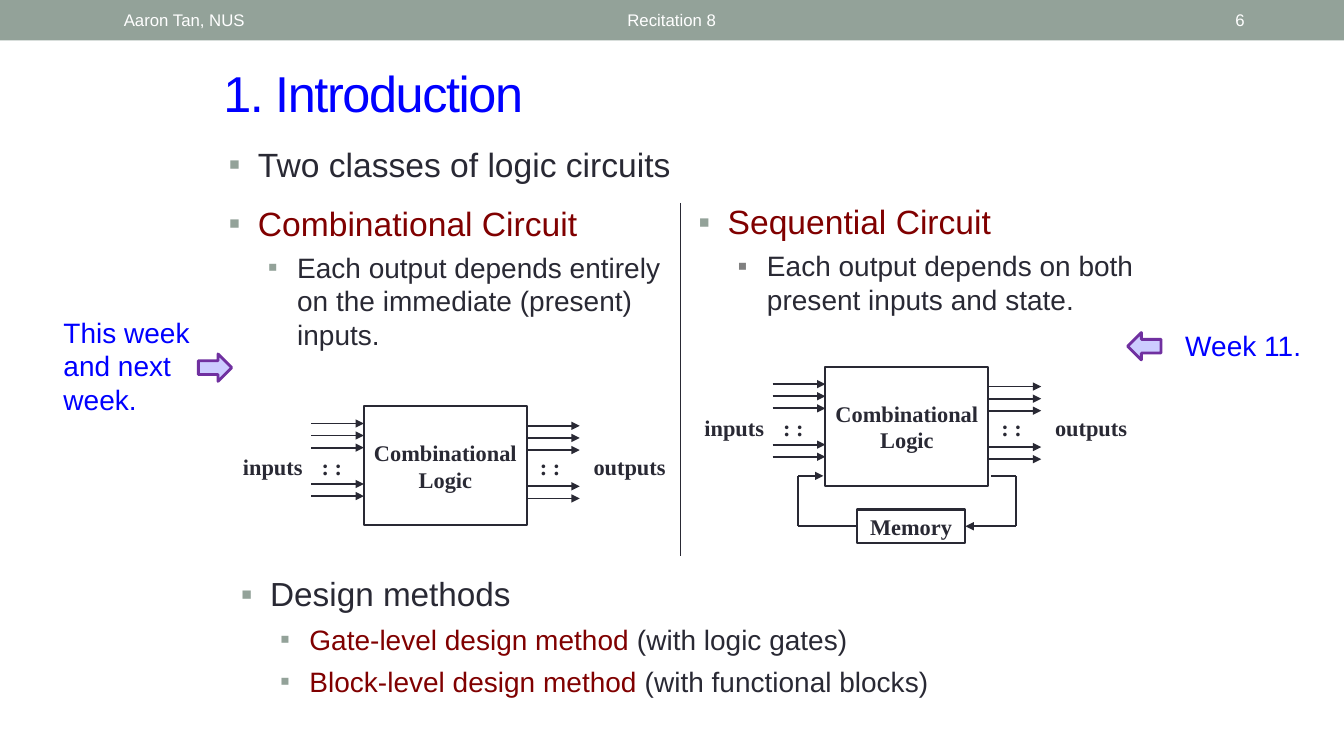
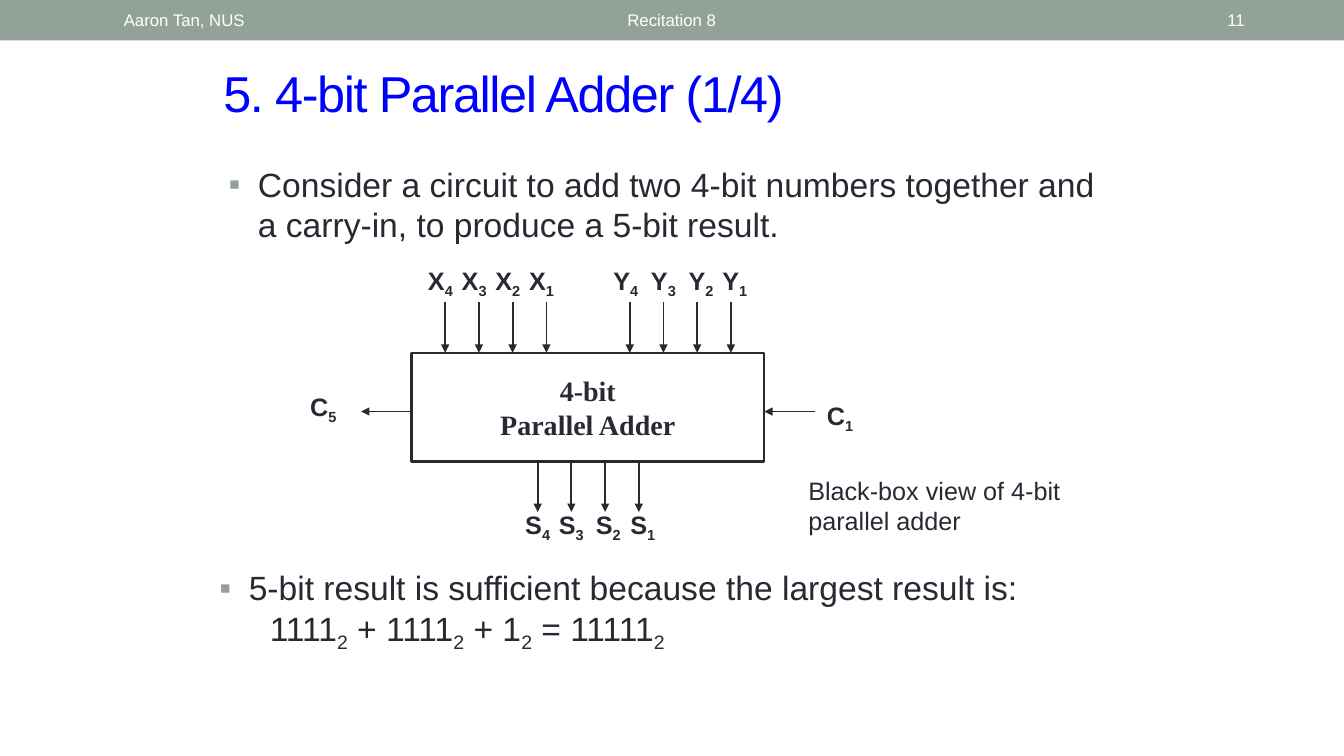
from lxml import etree
from pptx import Presentation
from pptx.dml.color import RGBColor
from pptx.enum import shapes, text
from pptx.oxml import ns
from pptx.util import Cm, Pt

SAGE = RGBColor(0x93, 0xA2, 0x99)
GREY = RGBColor(0x80, 0x80, 0x80)
INK = RGBColor(0x29, 0x29, 0x34)
BLUE = RGBColor(0x00, 0x00, 0xFF)
MAROON = RGBColor(0x80, 0x00, 0x00)
WHITE = RGBColor(0xFF, 0xFF, 0xFF)
LILAC = RGBColor(0xCC, 0xCC, 0xFF)
PURPLE = RGBColor(0x70, 0x30, 0xA0)

SANS, SERIF = "Arial", "Times New Roman"
LEFT, CENTER, RIGHT = text.PP_ALIGN.LEFT, text.PP_ALIGN.CENTER, text.PP_ALIGN.RIGHT
TOP, MIDDLE = text.MSO_ANCHOR.TOP, text.MSO_ANCHOR.MIDDLE
WIDTH, HEIGHT, BAND = 33.87, 19.05, 1.02
INDENTS = (0.74, 1.73)      # text indent of each bullet level
HANG = 0.74
SUB = "subscript"           # span style, besides colours


# ---- Text ----
def fill_para(para, spans, size, color=INK, font=SANS, bold=False, align=LEFT):
    """Spans are strings or (string, colour or SUB) pairs; a newline breaks the line."""
    para.alignment = align
    para.font.name, para.font.size, para.font.bold = font, Pt(size), bold
    para.font.color.rgb = color
    for item in [spans] if isinstance(spans, str) else spans:
        words, style = (item, None) if isinstance(item, str) else item
        for number, line in enumerate(words.split("\n")):
            if number:
                para.add_line_break()
            span = para.add_run()
            span.text = line
            if style == SUB:
                span.font._element.set("baseline", "-25000")
            elif style is not None:
                span.font.color.rgb = style


def add_text(page, left, top, width, height, lines, size, anchor=TOP, inset=0.25, **look):
    box = page.shapes.add_textbox(Cm(left), Cm(top), Cm(width), Cm(height))
    frame = box.text_frame
    frame.word_wrap = True
    frame.vertical_anchor = anchor
    frame.margin_left = frame.margin_right = Cm(inset)
    for number, spans in enumerate(lines):
        para = frame.add_paragraph() if number else frame.paragraphs[0]
        fill_para(para, spans, size, **look)
    return box


def add_bullets(page, left, top, width, height, items):
    """Items are (level, spans, size, colour, before, after, bullet colour)."""
    frame = add_text(page, left, top, width, height, [], 24).text_frame
    for number, (level, spans, size, color, before, after, dot) in enumerate(items):
        para = frame.add_paragraph() if number else frame.paragraphs[0]
        para.level = level
        para.space_before, para.space_after = Pt(before), Pt(after)
        props = para._p.get_or_add_pPr()
        props.set("marL", str(Cm(INDENTS[level])))
        props.set("indent", str(-Cm(HANG)))
        tint = etree.SubElement(props, ns.qn("a:buClr"))
        etree.SubElement(tint, ns.qn("a:srgbClr"), val=str(dot))
        etree.SubElement(props, ns.qn("a:buFont"), typeface=SANS)
        etree.SubElement(props, ns.qn("a:buChar"), char="▪")
        fill_para(para, spans, size, color)


# ---- Shapes and lines ----
def add_block(page, kind, left, top, width, height, fill=None, line=None, weight=1.5):
    block = page.shapes.add_shape(kind, Cm(left), Cm(top), Cm(width), Cm(height))
    block.shadow.inherit = False
    if fill is None:
        block.fill.background()
    else:
        block.fill.solid()
        block.fill.fore_color.rgb = fill
    if line is None:
        block.line.fill.background()
    else:
        block.line.color.rgb = line
        block.line.width = Pt(weight)
    return block


def add_labelled_box(page, left, top, width, height, lines, size):
    block = add_block(page, shapes.MSO_SHAPE.RECTANGLE, left, top, width, height, line=INK)
    frame = block.text_frame
    frame.vertical_anchor = MIDDLE
    frame.margin_left = frame.margin_right = frame.margin_top = frame.margin_bottom = 0
    for number, line in enumerate(lines):
        para = frame.add_paragraph() if number else frame.paragraphs[0]
        fill_para(para, line, size, font=SERIF, bold=True, align=CENTER)
    return block


def add_line(page, start, end, weight=1.25, arrow=True):
    line = page.shapes.add_connector(shapes.MSO_CONNECTOR.STRAIGHT,
                                     *(Cm(value) for value in (*start, *end)))
    line.line.color.rgb = INK
    line.line.width = Pt(weight)
    if arrow:
        etree.SubElement(line.line._get_or_add_ln(), ns.qn("a:tailEnd"), type="triangle")
    etree.SubElement(line._element.spPr, ns.qn("a:effectLst"))
    return line


def add_route(page, points):
    """Join the points with straight lines, the last one ending in an arrowhead."""
    last = len(points) - 2
    return [add_line(page, points[i], points[i + 1], 1.5, i == last)
            for i in range(last + 1)]


# ---- Frame shared by the slides ----
def new_page(deck, title, number):
    page = deck.slides.add_slide(deck.slide_layouts[6])
    add_block(page, shapes.MSO_SHAPE.RECTANGLE, 0, 0, WIDTH, BAND, fill=SAGE)
    for left, width, words, align in ((2.87, 8.05, "Aaron Tan, NUS", LEFT),
                                      (7.67, 18.52, "Recitation 8", CENTER),
                                      (29.21, 2.41, number, RIGHT)):
        add_text(page, left, 0.05, width, 0.91, [words], 12, MIDDLE, color=WHITE, align=align)
    heading = add_text(page, 5.38, 1.45, 23.2, 1.78, [title], 36, MIDDLE, color=BLUE)
    heading.text_frame.paragraphs[0].runs[0].font._element.set("spc", "-100")
    return page


# ---- Circuit diagrams ----
def add_logic(page, left, top):
    """Combinational block with its input and output lines."""
    width, height, lead, pitch = 4.11, 3, 1.33, 0.305
    right = left + width
    add_labelled_box(page, left, top, width, height, ["Combinational", "Logic"], 16)
    for slot in (0, 1, 2, 5, 6):
        y = top + 0.43 + slot * pitch
        add_line(page, (left - lead, y), (left, y))
        add_line(page, (right, y + 0.06), (right + lead, y + 0.06))
    for x, label_width, label in ((left - 3.25, 1.91, "inputs"), (left - 1.34, 1.07, ": :"),
                                  (right + 0.05, 1.07, ": :"), (right + 1.53, 2.11, "outputs")):
        add_text(page, x, top + 1.05, label_width, 0.93, [label], 16, inset=0.03,
                 font=SERIF, bold=True, align=CENTER)


def add_sequential(page, left, top):
    """Combinational block with a memory fed back from output to input."""
    add_logic(page, left, top)
    upper, lower = top + 2.74, top + 4.01
    near, far = left - 0.68, left + 4.8
    start, end = left + 0.79, left + 3.53
    memory = add_labelled_box(page, start, lower - 0.42, end - start, 0.84, ["Memory"], 16)
    store = add_route(page, [(left + 4.17, upper), (far, upper), (far, lower), (end, lower)])
    store[-1].end_connect(memory, 3)
    recall = add_route(page, [(start, lower), (near, lower), (near, upper),
                              (left - 0.05, upper)])
    recall[0].begin_connect(memory, 1)


def add_signal(page, center, top, name, digit):
    add_text(page, center - 0.75, top, 1.5, 1.02, [[name, (digit, SUB)]], 18,
             bold=True, align=CENTER)


def add_adder(page, left, top):
    """Black box of the adder with its buses and carries."""
    width, height, lead, pitch = 8.89, 2.74, 1.27, 0.85
    right, bottom, carry = left + width, top + height, top + 1.48
    add_labelled_box(page, left, top, width, height, ["4-bit", "Parallel Adder"], 20)
    # Buses: first pin, line start, label top, label shifts
    for name, first, y, label_top, shifts in (
            ("X", 0.85, top - lead, top - 2.34, (-0.12, -0.12, -0.12, -0.12)),
            ("Y", 5.5, top - lead, top - 2.34, (-0.1, 0, 0.1, 0.1)),
            ("S", 3.18, bottom, bottom + 1.07, (0, 0, 0.08, 0.1))):
        for slot, shift in enumerate(shifts):
            x = left + first + slot * pitch
            add_line(page, (x, y), (x, y + lead))
            add_signal(page, x + shift, label_top, name, str(4 - slot))
    # Carries
    add_line(page, (left, carry), (left - lead, carry))
    add_line(page, (right + lead, carry), (right, carry))
    add_signal(page, left - 2.22, top + 0.84, "C", "5")
    add_signal(page, right + 1.91, top + 1.07, "C", "1")
    add_text(page, right + 0.86, bottom + 0.22, 6.99, 1.78,
             ["Black-box view of 4-bit parallel adder"], 18)


# ---- Slides ----
def build_introduction(deck):
    page = new_page(deck, "1. Introduction", "6")
    add_bullets(page, 5.51, 3.51, 12.25, 6, [
        (0, "Two classes of logic circuits", 24, INK, 0, 0, SAGE),
        (0, "Combinational Circuit", 24, MAROON, 13, 0, SAGE),
        (1, "Each output depends entirely on the immediate (present) inputs.",
         20, INK, 5, 0, SAGE)])
    add_logic(page, 9.17, 10.24)
    add_bullets(page, 17.35, 4.95, 11.86, 4.24, [
        (0, "Sequential Circuit", 24, MAROON, 0, 0, SAGE),
        (1, "Each output depends on both present inputs and state.", 20, INK, 5, 0, GREY)])
    add_line(page, (17.15, 5.11), (17.15, 14), 0.75, False)
    add_sequential(page, 20.8, 9.25)
    # Schedule notes
    kinds = shapes.MSO_SHAPE
    for kind, x, y, note_x, note_y, width, height, note in (
            (kinds.RIGHT_ARROW, 5, 8.92, 1.35, 7.82, 4.01, 2.82, "This week and next week."),
            (kinds.LEFT_ARROW, 28.42, 8.38, 29.62, 8.15, 3.45, 1.12, "Week 11.")):
        add_block(page, kind, x, y, 0.84, 0.69, LILAC, PURPLE, 2)
        add_text(page, note_x, note_y, width, height, [note], 20, color=BLUE)
    add_bullets(page, 5.82, 14.33, 21.69, 3.56, [
        (0, "Design methods", 23.8, INK, 0, 6, SAGE),
        (1, [("Gate-level design method ", MAROON), "(with logic gates)"], 20, INK, 0, 6, SAGE),
        (1, [("Block-level design method ", MAROON), "(with functional blocks)"],
         20, INK, 0, 6, SAGE)])


def build_adder(deck):
    page = new_page(deck, "5. 4-bit Parallel Adder (1/4)", "11")
    add_bullets(page, 5.51, 4.01, 22.86, 2.54, [
        (0, "Consider a circuit to add two 4-bit numbers together and a carry-in, "
            "to produce a 5-bit result.", 24, INK, 0, 0, SAGE)])
    add_adder(page, 10.37, 8.89)
    base = ("2", SUB)
    add_bullets(page, 5.28, 14.17, 22.86, 2.54, [
        (0, ["5-bit result is sufficient because the largest result is:\n\t1111", base,
             " + 1111", base, " + 1", base, " = 11111", base], 24, INK, 0, 0, SAGE)])


def main():
    deck = Presentation()
    deck.slide_width, deck.slide_height = Cm(WIDTH), Cm(HEIGHT)
    build_introduction(deck)
    build_adder(deck)
    deck.save("out.pptx")


if __name__ == "__main__":
    main()
